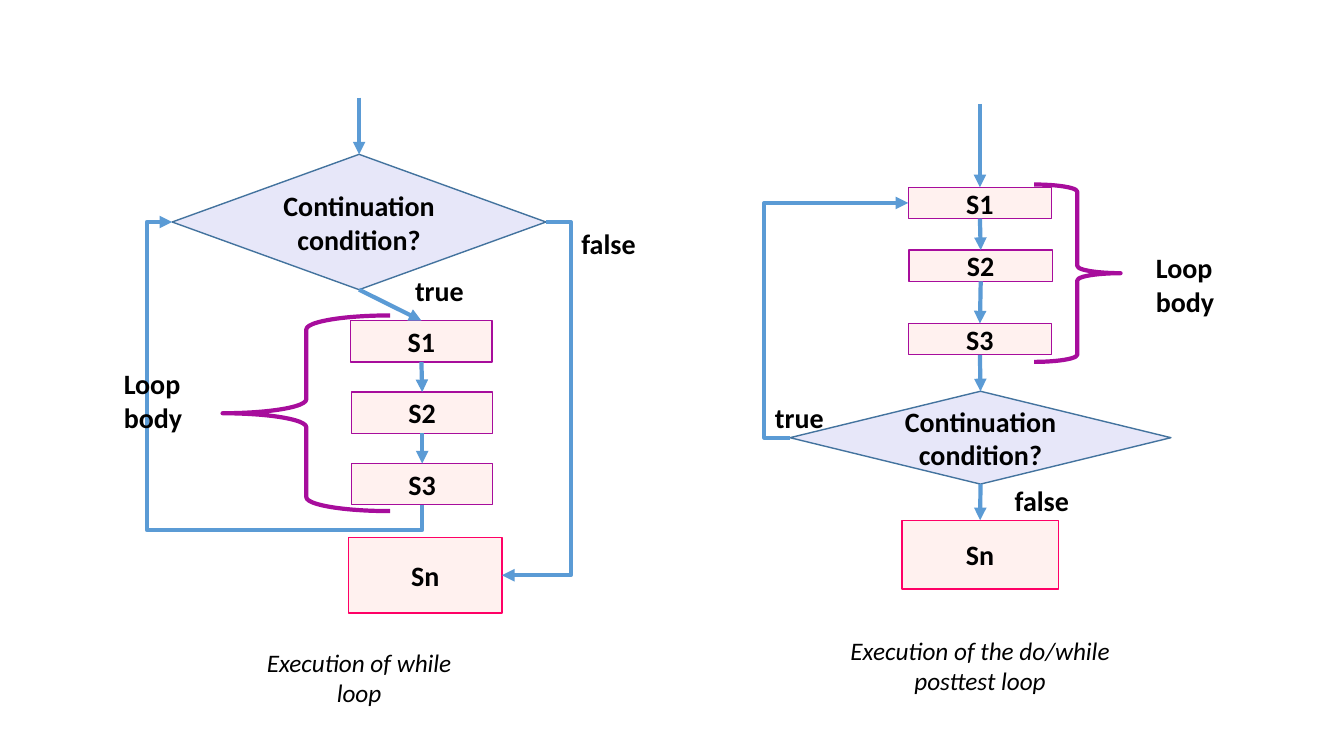
from itertools import pairwise

from lxml import etree
from pptx import Presentation
from pptx.dml.color import RGBColor
from pptx.enum.shapes import MSO_CONNECTOR as Link, MSO_SHAPE as Shape
from pptx.enum.text import MSO_ANCHOR as Anchor, PP_ALIGN as Align
from pptx.oxml.ns import qn
from pptx.util import Cm, Pt

TOP, LEFT, BOTTOM, RIGHT = range(4)
CONDITION = "Continuation condition?"
STYLES = {  # kind: (preset, fill, line colour)
    "condition": (Shape.DIAMOND, "E7E7F9", "43739E"),
    "body": (Shape.RECTANGLE, "FFF1EF", "A70D9C"),
    "next": (Shape.RECTANGLE, "FFF1EF", "FF0066"),
}
BRACE_COLOR, ARROW_COLOR, TEXT_COLOR = "A70D9C", "5B9BD5", "000000"

# Boxes are (left, top, width, height) in cm.
# Bends are (from, side, to, side, bend positions as shares of the span).
LOOPS = [
    {
        "steps": {
            CONDITION: ("condition", (4.34, 3.89, 9.42, 3.41)),
            "S1": ("body", (8.84, 8.08, 3.56, 1.04)),
            "S2": ("body", (8.86, 9.88, 3.56, 1.04)),
            "S3": ("body", (8.86, 11.68, 3.56, 1.04)),
            "Sn": ("next", (8.79, 13.54, 3.86, 1.91)),
        },
        "entry": 2.46,
        "flow": [CONDITION, "S1", "S2", "S3"],
        "bends": [
            (CONDITION, RIGHT, "Sn", RIGHT, [-0.567]),
            ("S3", BOTTOM, CONDITION, LEFT, [-0.089, 1.101]),
        ],
        "brace": (Shape.LEFT_BRACE, (5.61, 7.95, 4.22, 4.93)),
        "labels": [
            ("true", (10.21, 6.76, 2.24, 1.12)),
            ("false", (14.4, 5.59, 2.16, 0.74)),
            ("Loop body", (2.87, 9.12, 2.54, 0.74)),
        ],
        "caption": ("Execution of while loop", (6.27, 16.18, 5.56, 1.8)),
    },
    {
        "steps": {
            "S1": ("body", (22.89, 4.72, 3.61, 0.79)),
            "S2": ("body", (22.91, 6.3, 3.61, 0.79)),
            "S3": ("body", (22.89, 8.15, 3.61, 0.79)),
            CONDITION: ("condition", (19.91, 9.86, 9.6, 2.34)),
            "Sn": ("next", (22.73, 13.11, 3.94, 1.73)),
        },
        "entry": 2.62,
        "flow": ["S1", "S2", "S3", CONDITION, "Sn"],
        "bends": [(CONDITION, LEFT, "S1", LEFT, [-0.218])],
        "brace": (Shape.RIGHT_BRACE, (26.06, 4.65, 2.18, 4.47)),
        "labels": [
            ("true", (19.28, 9.96, 2.29, 0.84)),
            ("false", (25.32, 12.07, 2.21, 0.56)),
            ("Loop body", (28.88, 6.2, 2.59, 0.56)),
        ],
        "caption": ("Execution of the do/while posttest loop", (20.65, 15.88, 8.1, 1.8)),
    },
]


def rgb(color):
    return RGBColor.from_string(color)


def cm_box(box):
    return [Cm(length) for length in box]


def set_line(line, color, width):
    line.color.rgb = rgb(color)
    line.width = Pt(width)


def write(shape, text, size=20, bold=True, italic=False, align=Align.CENTER):
    frame = shape.text_frame
    frame.word_wrap = True
    paragraph = frame.paragraphs[0]
    paragraph.text = text
    paragraph.alignment = align
    font = paragraph.font
    font.name, font.size, font.bold, font.italic = "Calibri", Pt(size), bold, italic
    font.color.rgb = rgb(TEXT_COLOR)


def add_step(group, text, kind, box):
    preset, fill, line = STYLES[kind]
    step = group.shapes.add_shape(preset, *cm_box(box))
    step.shadow.inherit = False
    step.fill.solid()
    step.fill.fore_color.rgb = rgb(fill)
    set_line(step.line, line, 1)
    write(step, text)
    step.text_frame.vertical_anchor = Anchor.MIDDLE
    return step


def add_brace(group, preset, box):
    brace = group.shapes.add_shape(preset, *cm_box(box))
    brace.shadow.inherit = False
    brace.fill.background()
    set_line(brace.line, BRACE_COLOR, 3)


def add_arrow(group, kind, start, end):
    arrow = group.shapes.add_connector(kind, *start, *end)
    set_line(arrow.line, ARROW_COLOR, 3)
    properties = arrow._element.spPr
    etree.SubElement(properties.find(qn("a:ln")), qn("a:tailEnd"), type="triangle")
    etree.SubElement(properties, qn("a:effectLst"))
    return arrow


def side_point(step, side):
    x_share, y_share = [(0.5, 0), (0, 0.5), (0.5, 1), (1, 0.5)][side]
    return (int(step.left + step.width * x_share),
            int(step.top + step.height * y_share))


def add_bend(group, start, end, bends):
    """Add an elbow arrow; two bend positions mean that it leaves downwards."""
    turned = len(bends) == 2
    if turned:
        # A quarter turn about the centre brings this flipped box onto start and end.
        (x1, y1), (x2, y2) = start, end
        mid_x, mid_y = (x1 + x2) // 2, (y1 + y2) // 2
        half_w, half_h = (y1 - y2) // 2, (x1 - x2) // 2
        start = mid_x + half_w, mid_y - half_h
        end = mid_x - half_w, mid_y + half_h
    arrow = add_arrow(group, Link.ELBOW, start, end)
    properties = arrow._element.spPr
    geometry = properties.find(qn("a:prstGeom"))
    if turned:
        properties.find(qn("a:xfrm")).set("rot", str(90 * 60000))
        geometry.set("prst", "bentConnector4")
    guides = geometry.find(qn("a:avLst"))
    for number, share in enumerate(bends, 1):
        etree.SubElement(guides, qn("a:gd"), name=f"adj{number}",
                         fmla=f"val {round(share * 100000)}")


def add_loop(slide, loop):
    group = slide.shapes.add_group_shape()
    steps = {text: add_step(group, text, *look) for text, look in loop["steps"].items()}

    first = steps[loop["flow"][0]]
    top = side_point(first, TOP)
    add_arrow(group, Link.STRAIGHT, (top[0], Cm(loop["entry"])), top).end_connect(first, TOP)
    for source, target in pairwise(steps[text] for text in loop["flow"]):
        arrow = add_arrow(group, Link.STRAIGHT,
                          side_point(source, BOTTOM), side_point(target, TOP))
        arrow.begin_connect(source, BOTTOM)
        arrow.end_connect(target, TOP)
    for source, out_side, target, in_side, bends in loop["bends"]:
        add_bend(group, side_point(steps[source], out_side),
                 side_point(steps[target], in_side), bends)

    add_brace(group, *loop["brace"])
    for text, box in loop["labels"]:
        write(group.shapes.add_textbox(*cm_box(box)), text, align=Align.LEFT)
    caption, box = loop["caption"]
    write(slide.shapes.add_textbox(*cm_box(box)), caption, size=18, bold=False, italic=True)


def main():
    deck = Presentation()
    deck.slide_width, deck.slide_height = Cm(33.87), Cm(19.05)
    slide = deck.slides.add_slide(deck.slide_layouts[6])
    for loop in LOOPS:
        add_loop(slide, loop)
    deck.save("out.pptx")


if __name__ == "__main__":
    main()
